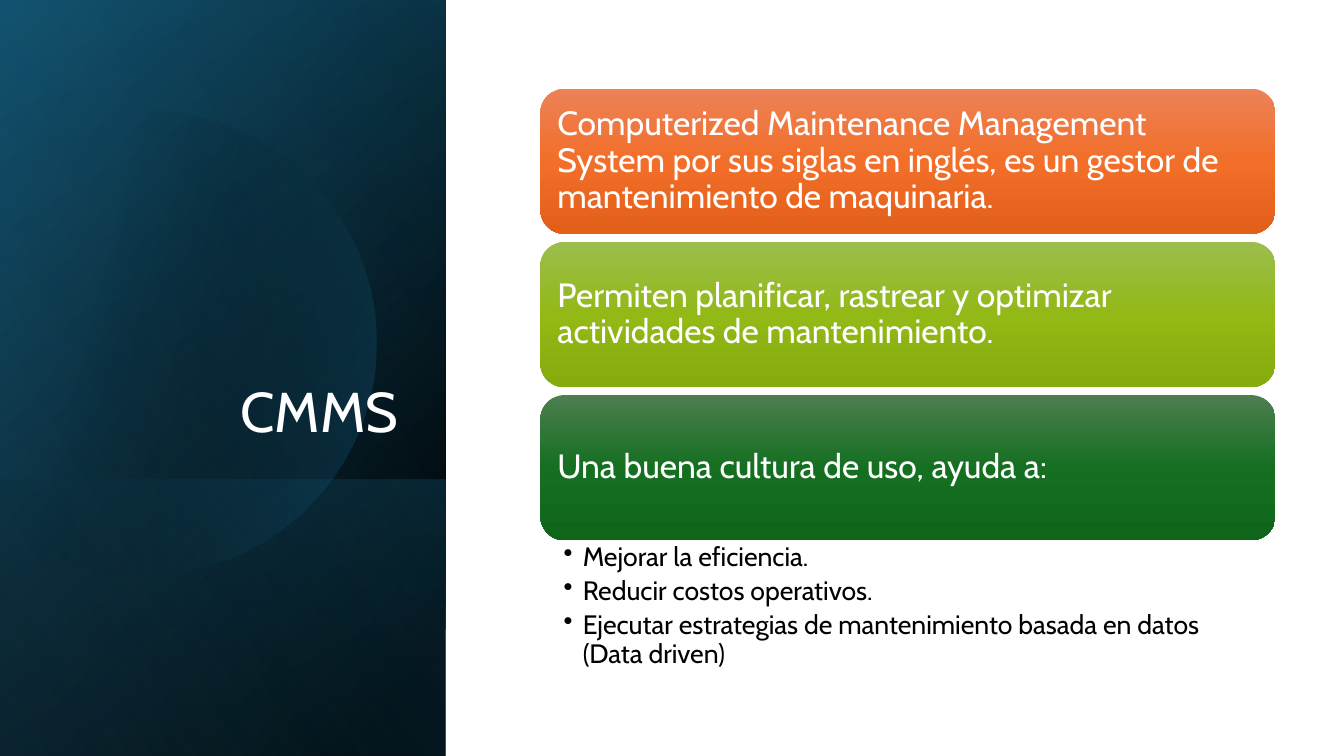
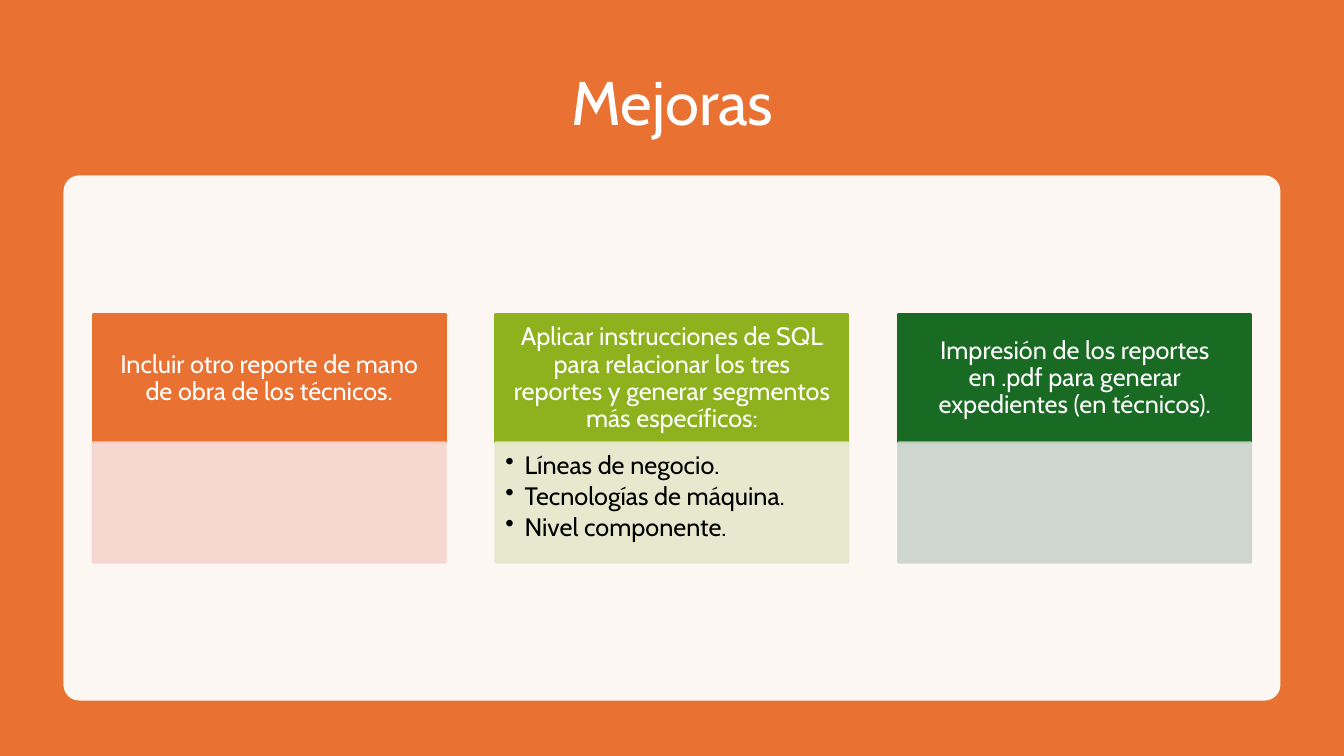
from math import acos, cos, pi, sin

from lxml import etree
from pptx import Presentation
from pptx.dml.color import RGBColor
from pptx.enum.shapes import MSO_SHAPE
from pptx.enum.text import MSO_ANCHOR, PP_ALIGN
from pptx.oxml.ns import qn
from pptx.util import Inches, Pt

RECT, ROUNDED = MSO_SHAPE.RECTANGLE, MSO_SHAPE.ROUNDED_RECTANGLE
TOP, MIDDLE, BOTTOM = MSO_ANCHOR.TOP, MSO_ANCHOR.MIDDLE, MSO_ANCHOR.BOTTOM
LEFT, CENTER, RIGHT = PP_ALIGN.LEFT, PP_ALIGN.CENTER, PP_ALIGN.RIGHT

FONT = "Cabin"
WHITE = RGBColor(0xFF, 0xFF, 0xFF)
BLACK = RGBColor(0, 0, 0)
TEAL = RGBColor(0x15, 0x60, 0x82)
DEEP_TEAL = RGBColor(0x10, 0x48, 0x62)
SKY = RGBColor(0x46, 0xB1, 0xE1)
ORANGE = RGBColor(0xE9, 0x71, 0x32)
LIME = RGBColor(0x8E, 0xB2, 0x1E)
GREEN = RGBColor(0x19, 0x6B, 0x24)
PALE_ORANGE = RGBColor(0xF7, 0xD5, 0xCE)
PALE_LIME = RGBColor(0xE5, 0xE8, 0xCA)
PALE_GREEN = RGBColor(0xCC, 0xD4, 0xCD)
ORANGE_SHADES = [RGBColor(0xED, 0x82, 0x57), RGBColor(0xF2, 0x6E, 0x29), RGBColor(0xE2, 0x5F, 0x1A)]
LIME_SHADES = [RGBColor(0x9C, 0xBD, 0x4E), RGBColor(0x92, 0xB9, 0x16), RGBColor(0x85, 0xAB, 0x0D)]
GREEN_SHADES = [RGBColor(0x4D, 0x7E, 0x50), RGBColor(0x15, 0x6F, 0x21), RGBColor(0x0F, 0x66, 0x1B)]

# Side band layers: box, angle, stops of (position %, colour, opacity %)
BAND = (-1.54, 1.54, 7.5, 4.42)
LOWER_BAND = (0.84, 3.92, 2.74, 4.42)
BASE_LAYERS = [
    (BAND, 50, [(8, BLACK, 100), (100, DEEP_TEAL, 100)]),
    (BAND, 30, [(0, BLACK, 0), (99, TEAL, 46)]),
    (LOWER_BAND, 130, [(2, TEAL, 29), (100, BLACK, 30)]),
]
DISC_GRADIENT = (14, [(29, BLACK, 0), (100, TEAL, 43)])
GLOW_LAYER = (BAND, 120, [(0, BLACK, 0), (99, SKY, 11)])

STATEMENTS = [
    ("Computerized Maintenance Management System por sus siglas en inglés, "
     "es un gestor de mantenimiento de maquinaria.", ORANGE_SHADES),
    ("Permiten planificar, rastrear y optimizar actividades de mantenimiento.", LIME_SHADES),
    ("Una buena cultura de uso, ayuda a:", GREEN_SHADES),
]
BENEFITS = [
    "Mejorar la eficiencia.",
    "Reducir costos operativos.",
    "Ejecutar estrategias de mantenimiento basada en datos (Data driven)",
]
IMPROVEMENTS = [
    ("Incluir otro reporte de mano de obra de los técnicos.", [], ORANGE, PALE_ORANGE),
    ("Aplicar instrucciones de SQL para relacionar los tres reportes "
     "y generar segmentos más específicos:",
     ["Líneas de negocio.", "Tecnologías de máquina.", "Nivel componente."], LIME, PALE_LIME),
    ("Impresión de los reportes en .pdf para generar expedientes (en técnicos).",
     [], GREEN, PALE_GREEN),
]


def inches(values):
    return [Inches(value) for value in values]


def add_opacity(color, percent):
    etree.SubElement(color, qn("a:alpha"), val=str(percent * 1000))


def make_translucent(shape, percent):
    """Apply one opacity to the fill and the line of a shape."""
    for color in shape._element.spPr.iter(qn("a:srgbClr")):
        add_opacity(color, percent)


def fill_gradient(shape, angle, stops):
    """Fill with any number of (position, colour, opacity) stops, without a line."""
    shape.shadow.inherit = False
    shape.line.fill.background()
    shape.fill.background()
    gradient = etree.Element(qn("a:gradFill"), rotWithShape="1")
    stop_list = etree.SubElement(gradient, qn("a:gsLst"))
    for position, color, opacity in stops:
        stop = etree.SubElement(stop_list, qn("a:gs"), pos=str(position * 1000))
        swatch = etree.SubElement(stop, qn("a:srgbClr"), val=str(color))
        if opacity < 100:
            add_opacity(swatch, opacity)
    etree.SubElement(gradient, qn("a:lin"), ang=str(angle * 60000), scaled="0")
    properties = shape._element.spPr
    properties.replace(properties.find(qn("a:noFill")), gradient)


def add_solid(page, kind, box, color, line_width=None):
    shape = page.shapes.add_shape(kind, *inches(box))
    shape.shadow.inherit = False
    shape.fill.solid()
    shape.fill.fore_color.rgb = color
    if line_width:
        shape.line.color.rgb = color
        shape.line.width = Pt(line_width)
    else:
        shape.line.fill.background()
    return shape


def write(shape, lines, size, color, align=LEFT, anchor=MIDDLE,
          margins=(0.1, 0.05, 0.1, 0.05), bullets=False, after=0):
    """Write one paragraph a line; margins are left, top, right, bottom."""
    frame = shape.text_frame
    frame.word_wrap = True
    frame.vertical_anchor = anchor
    (frame.margin_left, frame.margin_top,
     frame.margin_right, frame.margin_bottom) = inches(margins)
    for index, line in enumerate(lines):
        para = frame.add_paragraph() if index else frame.paragraphs[0]
        para.text = line
        para.alignment = align
        para.line_spacing = 0.9
        para.space_after = Pt(after)
        if bullets:
            properties = para._p.get_or_add_pPr()
            properties.set("marL", str(Inches(0.19)))
            properties.set("indent", str(-Inches(0.19)))
            etree.SubElement(properties, qn("a:buChar"), char="•")
        para.font.name = FONT
        para.font.size = Pt(size)
        para.font.color.rgb = color


def add_title(page, text, box, size, align, anchor):
    write(page.shapes.add_textbox(*inches(box)), [text], size, WHITE, align, anchor)


def add_band_layer(page, box, angle, stops):
    layer = page.shapes.add_shape(RECT, *inches(box))
    layer.rotation = 90
    layer._element.spPr.xfrm.set("flipH", "1")
    fill_gradient(layer, angle, stops)


def add_disc(page, center_x=1.43, center_y=3.4, radius=2.3, steps=90):
    """Draw a disc cut off by the left edge of the page."""
    limit = acos(-center_x / radius)
    angles = [limit * (2 * step / steps - 1) for step in range(steps + 1)]
    points = [(Inches(center_x + radius * cos(angle)), Inches(center_y + radius * sin(angle)))
              for angle in angles]
    builder = page.shapes.build_freeform(*points[0])
    builder.add_line_segments(points[1:], close=True)
    fill_gradient(builder.convert_to_shape(), *DISC_GRADIENT)


def build_cmms(page):
    for layer in BASE_LAYERS:
        add_band_layer(page, *layer)
    add_disc(page)
    add_band_layer(page, *GLOW_LAYER)
    add_title(page, "CMMS", (0.64, 1.84, 3.41, 2.62), 40, RIGHT, BOTTOM)

    left, top, width, height, pitch = 5.36, 0.88, 7.29, 1.44, 1.52
    for row, (text, shades) in enumerate(STATEMENTS):
        box = (left, top + row * pitch, width, height)
        card = page.shapes.add_shape(ROUNDED, *inches(box))
        fill_gradient(card, 90, [(50 * i, shade, 100) for i, shade in enumerate(shades)])
        write(card, [text], 24, WHITE, margins=(0.1, 0.1, 0.1, 0.1))
    benefits = page.shapes.add_textbox(*inches((left, 5.36, width, 1.36)))
    write(benefits, BENEFITS, 19, BLACK, anchor=TOP,
          margins=(0.23, 0.03, 0.19, 0.03), bullets=True, after=3.8)


def build_improvements(page):
    page.background.fill.solid()
    page.background.fill.fore_color.rgb = ORANGE
    add_title(page, "Mejoras", (0.92, 0.5, 11.5, 1.1), 44, CENTER, MIDDLE)
    panel = add_solid(page, ROUNDED, (0.63, 1.74, 12.07, 5.21), WHITE)
    panel.adjustments[0] = 0.03
    make_translucent(panel, 95)

    left, right, width = 0.92, 12.41, 3.5
    top, head_height, body_height = 3.12, 1.27, 1.19
    pitch = (right - left - width) / (len(IMPROVEMENTS) - 1)
    for column, (text, details, color, pale) in enumerate(IMPROVEMENTS):
        x = left + column * pitch
        head = add_solid(page, RECT, (x, top, width, head_height), color, 1.5)
        write(head, [text], 18, WHITE, CENTER, margins=(0.14, 0.08, 0.14, 0.08))
        body = add_solid(page, RECT, (x, top + head_height, width, body_height), pale, 1.5)
        make_translucent(body, 90)
        if details:
            write(body, details, 18, BLACK, anchor=TOP,
                  margins=(0.1, 0.1, 0.14, 0.16), bullets=True, after=2.7)


def main():
    deck = Presentation()
    deck.slide_width, deck.slide_height = Inches(13.33), Inches(7.5)
    blank = deck.slide_layouts[6]
    for build in (build_cmms, build_improvements):
        build(deck.slides.add_slide(blank))
    deck.save("out.pptx")


if __name__ == "__main__":
    main()
